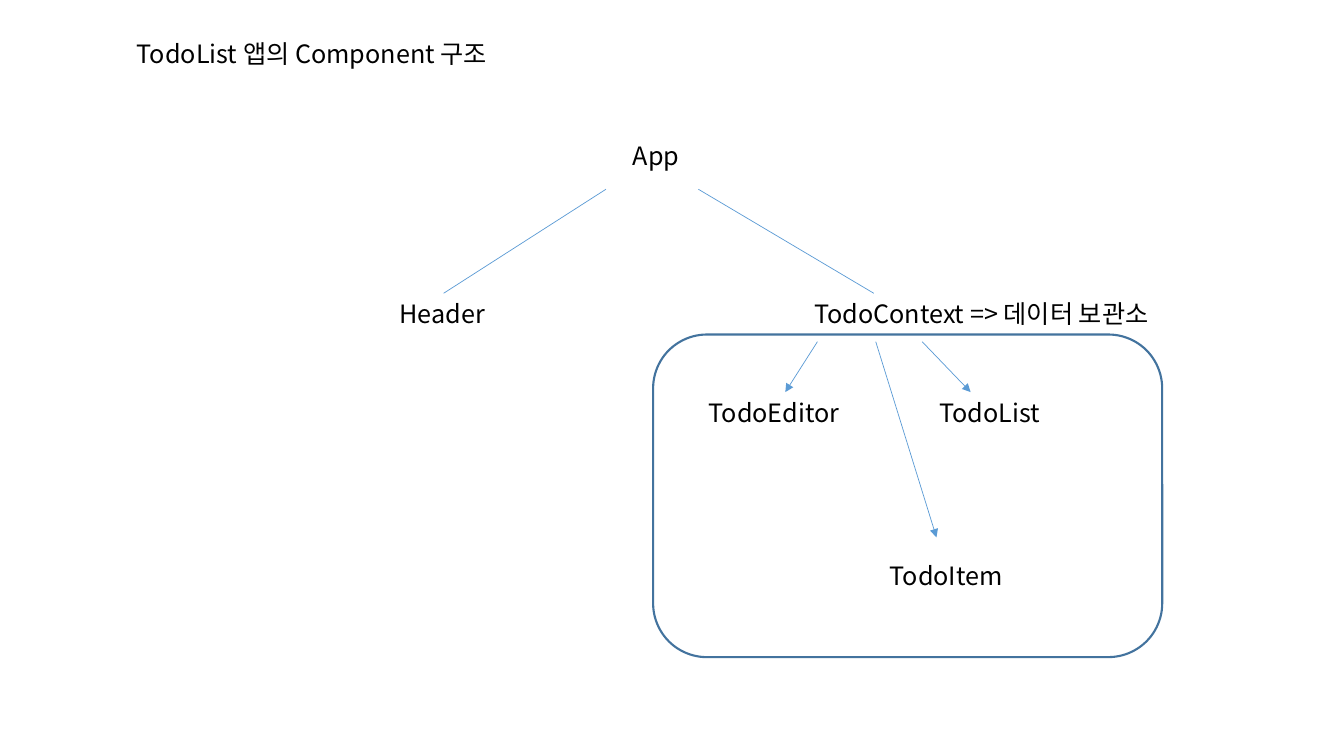
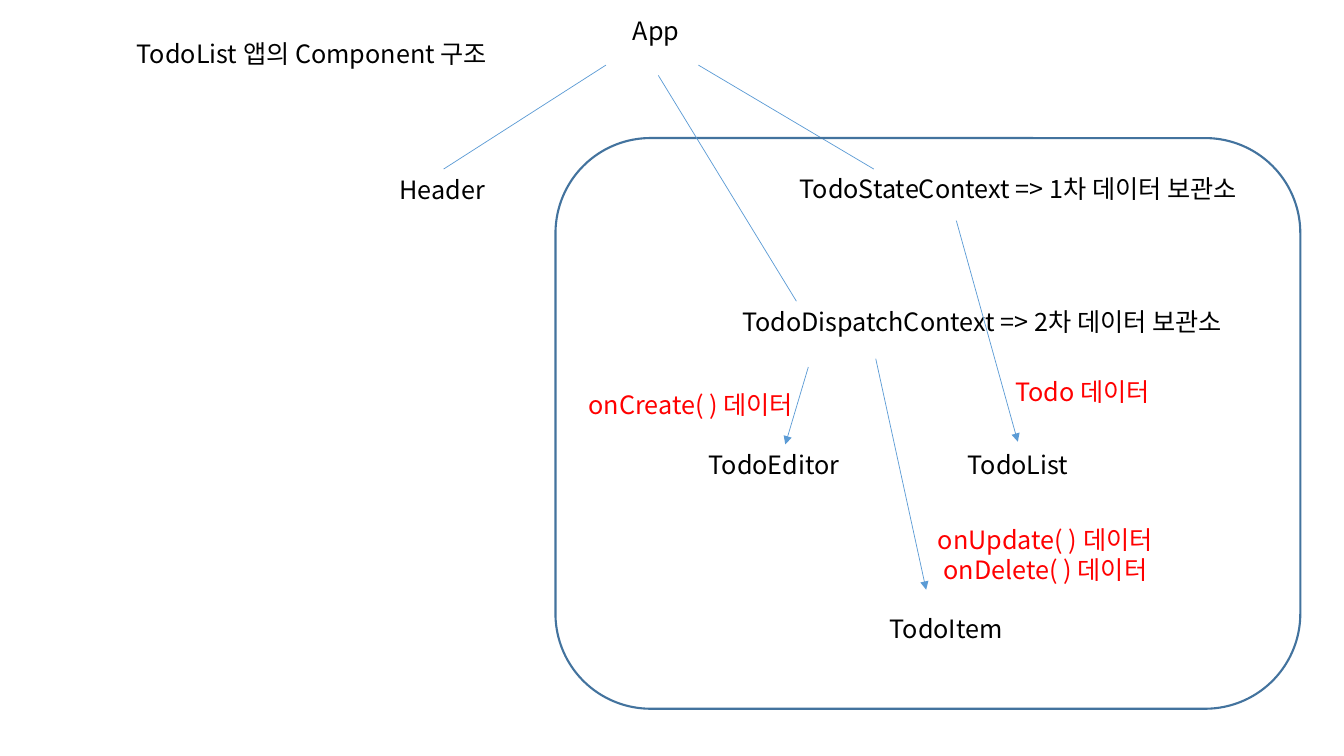
from dataclasses import dataclass

from lxml.etree import SubElement
from pptx import Presentation
from pptx.dml.color import RGBColor
from pptx.enum.shapes import MSO_CONNECTOR, MSO_SHAPE
from pptx.enum.text import MSO_AUTO_SIZE, PP_ALIGN
from pptx.oxml.ns import qn
from pptx.util import Cm, Pt


@dataclass(frozen=True)
class Theme:
    """Colours, type and line sizes shared by the slides."""

    text: RGBColor = RGBColor(0x00, 0x00, 0x00)
    data: RGBColor = RGBColor(0xFF, 0x00, 0x00)
    link: RGBColor = RGBColor(0x5B, 0x9B, 0xD5)
    frame: RGBColor = RGBColor(0x43, 0x73, 0x9E)
    font: str = "Noto Sans CJK KR"
    size: Pt = Pt(18)
    link_width: Pt = Pt(0.5)
    frame_width: Pt = Pt(1.5)


THEME = Theme()
LABEL_HEIGHT = 1.02
NODE_WIDTH = 4.11
LEVEL_GAP = 3.99
ITEM_DROP = 4.12


def add_label(slide, text, left, top, width=NODE_WIDTH, color=THEME.text):
    """Add centred text, one paragraph for each line."""
    lines = text.split("\n")
    height = LABEL_HEIGHT + 0.78 * (len(lines) - 1)
    box = slide.shapes.add_textbox(Cm(left), Cm(top), Cm(width), Cm(height))
    frame = box.text_frame
    frame.word_wrap = True
    frame.auto_size = MSO_AUTO_SIZE.SHAPE_TO_FIT_TEXT
    frame.text = text
    for paragraph in frame.paragraphs:
        paragraph.alignment = PP_ALIGN.CENTER
        paragraph.font.size = THEME.size
        paragraph.font.name = THEME.font
        paragraph.font.color.rgb = color
        for run in paragraph.runs:
            properties = run.font._element
            SubElement(properties, qn("a:ea"), typeface=THEME.font)


def add_link(slide, start, end, arrow=False):
    """Join two points with a thin line, with an arrowhead at the end if asked."""
    points = [Cm(value) for value in (*start, *end)]
    connector = slide.shapes.add_connector(MSO_CONNECTOR.STRAIGHT, *points)
    connector.line.color.rgb = THEME.link
    connector.line.width = THEME.link_width
    properties = connector.element.spPr
    if arrow:
        SubElement(properties.find(qn("a:ln")), qn("a:tailEnd"), type="triangle")
    SubElement(properties, qn("a:effectLst"))


def add_arrows(slide, arrows):
    """Add an arrow for each pair of points."""
    for start, end in arrows:
        add_link(slide, start, end, arrow=True)


def add_context_frame(slide, left, top, width, height):
    """Outline the area that a context covers."""
    shape = slide.shapes.add_shape(
        MSO_SHAPE.ROUNDED_RECTANGLE, Cm(left), Cm(top), Cm(width), Cm(height)
    )
    shape.shadow.inherit = False
    shape.fill.background()
    shape.line.color.rgb = THEME.frame
    shape.line.width = THEME.frame_width


def add_tree_slide(presentation, root_top, leaf_top, list_left):
    """Start a slide with the title, the root, its branches and the leaves."""
    slide = presentation.slides.add_slide(presentation.slide_layouts[6])
    child_top = root_top + LEVEL_GAP
    nodes = (
        ("App", 14.48, root_top),
        ("Header", 9.09, child_top),
        ("TodoEditor", 17.45, leaf_top),
        ("TodoList", list_left, leaf_top),
        ("TodoItem", 21.79, leaf_top + ITEM_DROP),
    )
    add_label(slide, "TodoList 앱의 Component 구조", 1.7, 0.84, 12.32)
    for name, left, top in nodes:
        add_label(slide, name, left, top)
    for start_x, end_x in ((17.6, 22.02), (15.27, 11.18)):
        add_link(slide, (start_x, root_top + 1.37), (end_x, child_top))
    return slide


def add_single_context_slide(presentation):
    """Show one context that feeds every leaf."""
    slide = add_tree_slide(presentation, 3.4, 9.88, 22.89)
    add_context_frame(slide, 16.46, 8.43, 12.83, 8.13)
    add_label(slide, "TodoContext => 데이터 보관소", 19.13, 7.39, 11.2)
    add_arrows(slide, (
        ((22.07, 8.61), (23.6, 13.54)),
        ((23.24, 8.61), (24.46, 9.88)),
        ((20.6, 8.61), (19.79, 9.88)),
    ))


def add_split_context_slide(presentation):
    """Show the state and dispatch contexts with the data they pass on."""
    slide = add_tree_slide(presentation, 0.27, 11.2, 23.6)
    add_context_frame(slide, 14, 3.48, 18.77, 14.38)
    add_label(slide, "TodoStateContext => 1차 데이터 보관소", 19.13, 4.24, 13.06)
    add_label(slide, "TodoDispatchContext => 2차 데이터 보관소", 17.6, 7.59, 14.3)
    add_link(slide, (16.59, 1.9), (20.07, 7.59))
    add_arrows(slide, (
        ((22.07, 9.04), (23.34, 14.86)),
        ((20.37, 9.25), (19.79, 11.2)),
        ((24.1, 5.56), (25.65, 11.13)),
    ))
    for text, left, top, width in (
        ("Todo 데이터", 24.79, 9.35, 4.98),
        ("onUpdate( ) 데이터\nonDelete( ) 데이터", 22.89, 13.08, 6.91),
        ("onCreate( ) 데이터", 14.25, 9.68, 6.32),
    ):
        add_label(slide, text, left, top, width, THEME.data)


def main():
    """Build and save the presentation."""
    presentation = Presentation()
    presentation.slide_width = Cm(33.87)
    presentation.slide_height = Cm(19.05)
    add_single_context_slide(presentation)
    add_split_context_slide(presentation)
    presentation.save("out.pptx")


if __name__ == "__main__":
    main()
